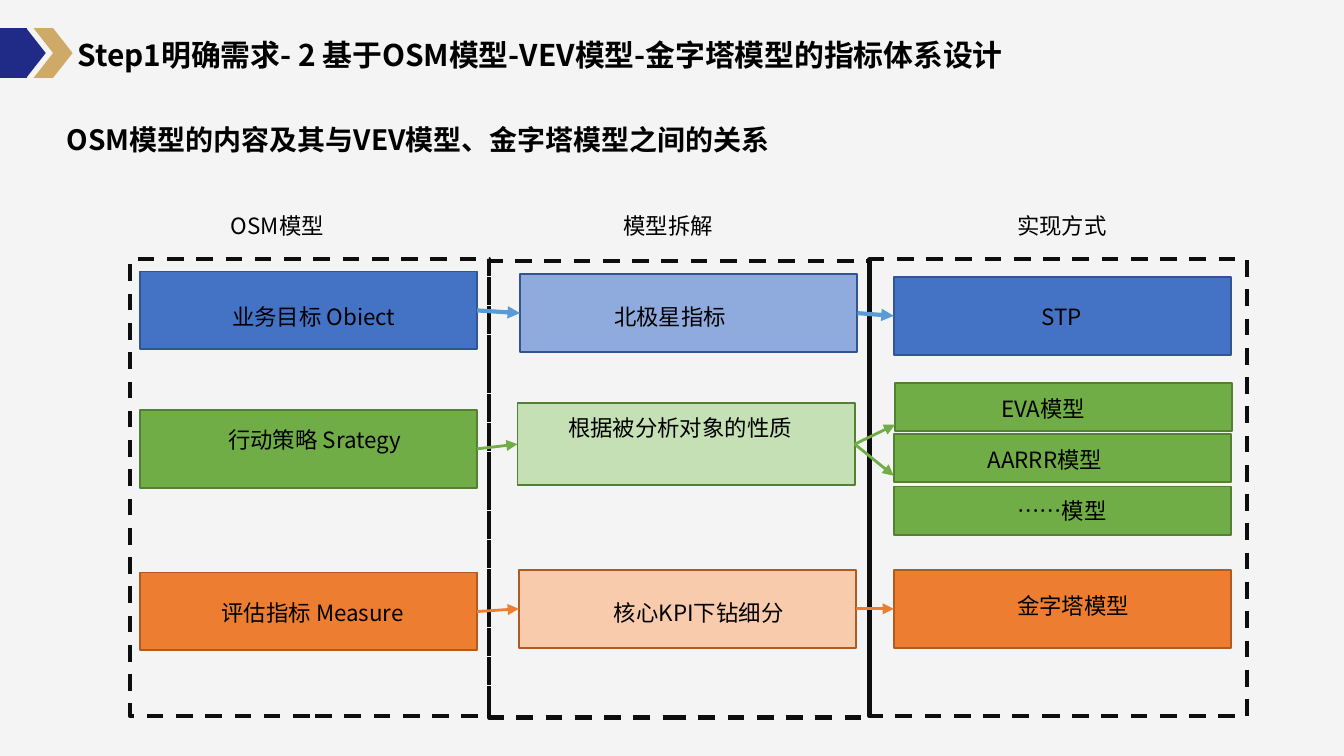
from lxml.etree import SubElement
from pptx import Presentation
from pptx.dml.color import RGBColor
from pptx.enum.dml import MSO_LINE
from pptx.enum.shapes import MSO_CONNECTOR, MSO_SHAPE
from pptx.enum.text import MSO_ANCHOR, PP_ALIGN
from pptx.oxml.ns import qn
from pptx.util import Inches, Pt

FONT = "Noto Sans CJK SC"
COLORS = {
    "background": "F4F4F4", "text": "000000", "frame": "0D0D0D",
    "navy": "202B88", "gold": "CFA967",
    "blue": "4472C4", "light_blue": "8FAADC", "blue_edge": "325491", "blue_arrow": "5B9BD5",
    "green": "70AD47", "light_green": "C5E0B4", "green_edge": "538035",
    "orange": "ED7D31", "light_orange": "F8CBAD", "orange_edge": "AF5C24",
}
COLORS = {name: RGBColor.from_string(value) for name, value in COLORS.items()}

prs = Presentation()
prs.slide_width = Inches(10)
prs.slide_height = Inches(10) * 9 // 16
slide = prs.slides.add_slide(prs.slide_layouts[6])
slide.background.fill.solid()
slide.background.fill.fore_color.rgb = COLORS["background"]


def add_box(preset, left, top, width, height, fill=None, edge=None, weight=1):
    box = slide.shapes.add_shape(
        preset, Inches(left), Inches(top), Inches(width), Inches(height))
    box.shadow.inherit = False
    if fill:
        box.fill.solid()
        box.fill.fore_color.rgb = COLORS[fill]
    else:
        box.fill.background()
    if edge:
        box.line.color.rgb = COLORS[edge]
        box.line.width = Pt(weight)
    else:
        box.line.fill.background()
    return box


def add_label(text, left, top, width, height=0.3, size=12, bold=False):
    label = slide.shapes.add_textbox(
        Inches(left), Inches(top), Inches(width), Inches(height))
    label.text_frame.word_wrap = True
    run = label.text_frame.paragraphs[0].add_run()
    run.text = text
    run.font.size, run.font.bold, run.font.name = Pt(size), bold, FONT
    run.font.color.rgb = COLORS["text"]
    SubElement(run.font._element, qn("a:ea"), typeface=FONT)
    return label


# Header
add_box(MSO_SHAPE.RECTANGLE, 0, 0.21, 0.2, 0.37, "navy")
for left, color in ((0.25, "gold"), (0.05, "navy")):
    add_box(MSO_SHAPE.CHEVRON, left, 0.21, 0.29, 0.37, color)
title = add_label("Step1明确需求- 2 基于OSM模型-VEV模型-金字塔模型的指标体系设计",
                  0.48, 0.22, 9.5, 0.37, size=16, bold=True)
title.text_frame.vertical_anchor = MSO_ANCHOR.MIDDLE
add_label("OSM模型的内容及其与VEV模型、金字塔模型之间的关系",
          0.4, 0.86, 7.75, 0.35, size=15, bold=True)

# Columns: heading, heading left and width, frame left, top and width
columns = [
    ("OSM模型", 1.62, 1.03, 0.97, 1.93, 2.67),
    ("模型拆解", 4.54, 0.94, 3.64, 1.94, 2.83),
    ("实现方式", 7.47, 0.94, 6.47, 1.93, 2.81),
]
for heading, heading_left, heading_width, left, top, width in columns:
    add_label(heading, heading_left, 1.53, heading_width)
    frame = add_box(MSO_SHAPE.RECTANGLE, left, top, width, 3.4, edge="frame", weight=2.25)
    frame.line.dash_style = MSO_LINE.DASH

# Steps: key, left, top, height, fill, edge, then label, its left, top and width
steps = [
    ("object", 1.04, 2.02, 0.58, "blue", "blue_edge", "业务目标 Obiect", 1.63, 2.21, 1.5),
    ("north_star", 3.87, 2.04, 0.58, "light_blue", "blue_edge", "北极星指标", 4.47, 2.21, 1.32),
    ("stp", 6.65, 2.06, 0.58, "blue", "blue_edge", "STP", 7.65, 2.21, 1.19),
    ("strategy", 1.04, 3.05, 0.58, "green", "green_edge", "行动策略 Srategy", 1.6, 3.12, 1.5),
    ("nature", 3.85, 3, 0.61, "light_green", "green_edge",
     "根据被分析对象的性质", 3.94, 3.03, 2.24),
    ("eva", 6.66, 2.85, 0.36, "green", "green_edge", "EVA模型", 7.35, 2.89, 1.32),
    ("aarrr", 6.65, 3.23, 0.36, "green", "green_edge", "AARRR模型", 7.25, 3.27, 1.16),
    ("others", 6.65, 3.62, 0.36, "green", "green_edge", "……模型", 7.47, 3.65, 0.94),
    ("measure", 1.04, 4.26, 0.58, "orange", "orange_edge", "评估指标 Measure", 1.55, 4.41, 1.83),
    ("kpi", 3.86, 4.24, 0.58, "light_orange", "orange_edge", "核心KPI下钻细分", 4.47, 4.41, 1.57),
    ("pyramid", 6.65, 4.24, 0.58, "orange", "orange_edge", "金字塔模型", 7.47, 4.36, 1.1),
]
boxes, labels = {}, {}
for key, left, top, height, fill, edge, text, text_left, text_top, text_width in steps:
    boxes[key] = add_box(MSO_SHAPE.RECTANGLE, left, top, 2.51, height, fill, edge)
    labels[key] = add_label(text, text_left, text_top, text_width)
labels["strategy"].height = Inches(0.5)
labels["nature"].text_frame.paragraphs[0].alignment = PP_ALIGN.CENTER

# Arrows run from a right side to a box, or to a free point beside it
arrows = [
    ("object", "north_star", "blue_arrow", 2.25),
    ("north_star", "stp", "blue_arrow", 2.25),
    ("strategy", "nature", "green", 1.5),
    ("nature", (6.66, 3.16), "green", 1.5),
    ("nature", (6.65, 3.54), "green", 1.5),
    ("measure", "kpi", "orange", 1.5),
    ("kpi", "pyramid", "orange", 1.5),
]
for source, target, color, weight in arrows:
    end_x, end_y = (0, 0) if target in boxes else target
    arrow = slide.shapes.add_connector(
        MSO_CONNECTOR.STRAIGHT, 0, 0, Inches(end_x), Inches(end_y))
    arrow.begin_connect(boxes[source], 3)
    if target in boxes:
        arrow.end_connect(boxes[target], 1)
    arrow.line.color.rgb = COLORS[color]
    arrow.line.width = Pt(weight)
    SubElement(arrow.line._get_or_add_ln(), qn("a:tailEnd"), type="triangle")
    SubElement(arrow._element.spPr, qn("a:effectLst"))

prs.save("out.pptx")
